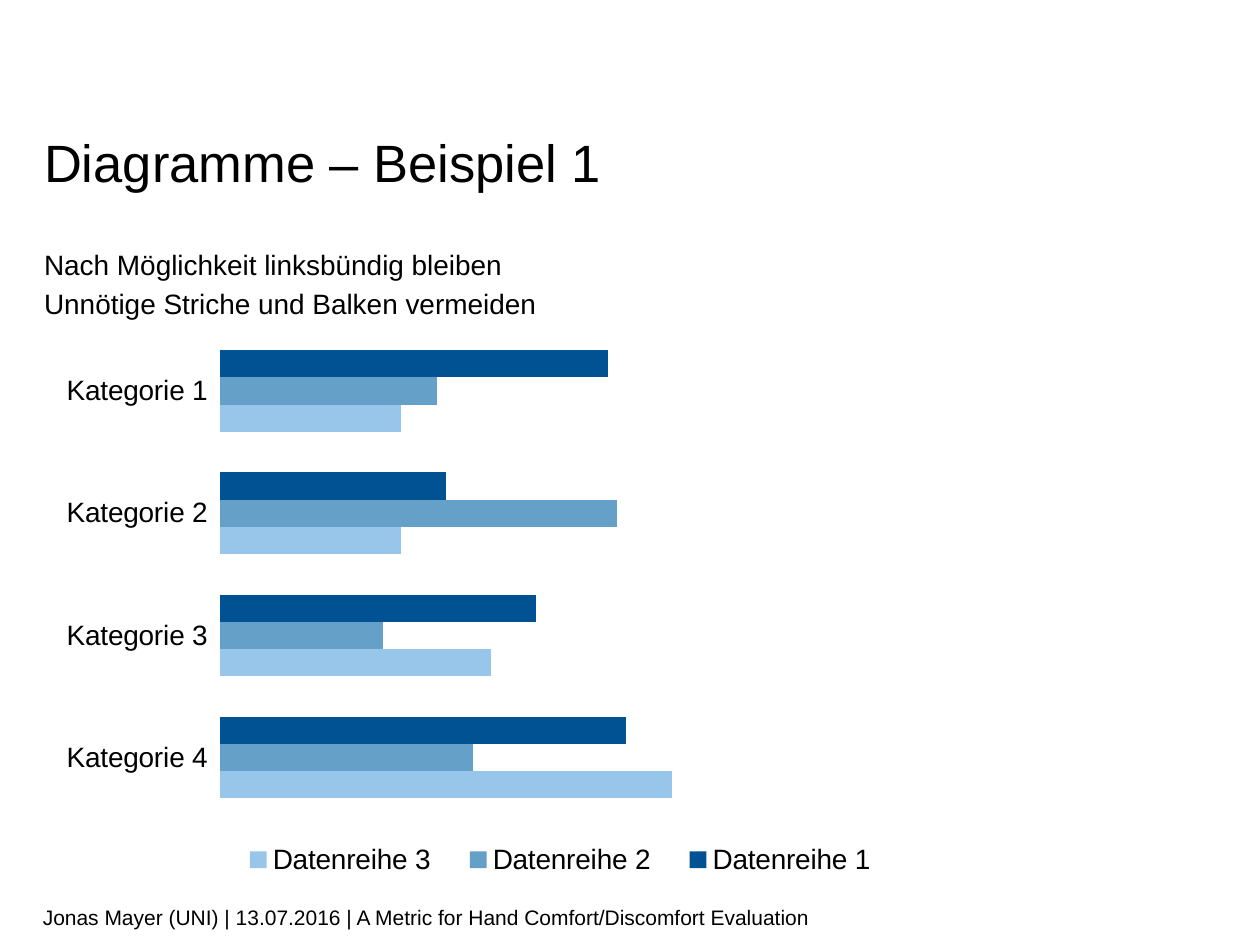
from dataclasses import dataclass

from lxml import etree
from pptx import Presentation
from pptx import util as u
from pptx.chart.data import CategoryChartData
from pptx.dml.color import RGBColor
from pptx.enum import chart as ch
from pptx.enum import text as tx
from pptx.oxml.ns import qn


@dataclass(frozen=True)
class Theme:
    font: str = "Arial"
    ink: str = "000000"
    title: int = 30
    body: int = 16
    foot: int = 12


@dataclass(frozen=True)
class Box:
    left: float
    top: float
    width: float
    height: float

    def emu(self) -> list:
        return [u.Inches(n) for n in (self.left, self.top, self.width, self.height)]


@dataclass(frozen=True)
class Series:
    name: str
    values: tuple
    color: str


THEME = Theme()
CATS = [f"Kategorie {n}" for n in range(1, 5)]
SERIES = (
    Series("Datenreihe 1", (86, 50, 70, 90), "005293"),
    Series("Datenreihe 2", (48, 88, 36, 56), "64A0C8"),
    Series("Datenreihe 3", (40, 40, 60, 100), "98C6EA"),
)
CHART = Box(0.23, 2.61, 9.31, 4.6)
PLOT = Box(1.75, 2.62, 4.3, 3.88)
LEGEND = Box(1.75, 6.6, 5.4, 0.45)


def style(item, **values) -> None:
    for name, value in values.items():
        setattr(item, name, value)


def ink(font, size: int) -> None:
    style(font, name=THEME.font, size=u.Pt(size), bold=False)
    font.color.rgb = RGBColor.from_string(THEME.ink)


def write(shape, words: str, size: int, pad: float = 0, space=None, **frame) -> None:
    """Fill a shape with left-aligned text; pad is the top and bottom inset."""
    body = shape.text_frame
    style(body, word_wrap=True, margin_left=0, margin_right=0,
          margin_top=u.Inches(pad), margin_bottom=u.Inches(pad), **frame)
    para = body.paragraphs[0]
    para.text = words
    style(para, alignment=tx.PP_ALIGN.LEFT, line_spacing=space)
    for run in para.runs:
        ink(run.font, size)


def place(owner, box: Box, inner: bool = False) -> None:
    """Fix a chart part at a box given in slide inches."""
    layout = owner.find(qn("c:layout"))
    if layout is None:
        layout = etree.Element(qn("c:layout"))
        prior = owner.find(qn("c:legendPos"))
        if prior is None:
            owner.insert(0, layout)
        else:
            prior.addnext(layout)
    for child in list(layout):
        layout.remove(child)
    manual = etree.SubElement(layout, qn("c:manualLayout"))
    parts = {"layoutTarget": "inner"} if inner else {}
    parts |= {
        "xMode": "edge",
        "yMode": "edge",
        "x": round((box.left - CHART.left) / CHART.width, 3),
        "y": round((box.top - CHART.top) / CHART.height, 3),
        "w": round(box.width / CHART.width, 3),
        "h": round(box.height / CHART.height, 3),
    }
    for tag, value in parts.items():
        etree.SubElement(manual, qn(f"c:{tag}")).set("val", str(value))


def draw_chart(slide) -> None:
    data = CategoryChartData()
    data.categories = CATS
    for row in SERIES:
        data.add_series(row.name, row.values)
    chart = slide.shapes.add_chart(
        ch.XL_CHART_TYPE.BAR_CLUSTERED, *CHART.emu(), data).chart
    ink(chart.font, THEME.body)
    style(chart, has_title=False, has_legend=True)
    style(chart.legend, position=ch.XL_LEGEND_POSITION.RIGHT,
          include_in_layout=False)

    plot = chart.plots[0]
    style(plot, gap_width=150, overlap=0, vary_by_categories=False)
    for bar, row in zip(plot.series, SERIES):
        bar.format.fill.solid()
        bar.format.fill.fore_color.rgb = RGBColor.from_string(row.color)

    style(chart.category_axis, reverse_order=True, has_major_gridlines=False,
          major_tick_mark=ch.XL_TICK_MARK.OUTSIDE)
    chart.category_axis.format.line.fill.background()
    style(chart.value_axis, visible=False, has_major_gridlines=False,
          minimum_scale=0, maximum_scale=120)

    area = chart.plots[0]._element.getparent()
    place(area, PLOT, inner=True)
    place(chart.legend._element, LEGEND)


def main() -> None:
    deck = Presentation()
    style(deck, slide_width=u.Inches(10), slide_height=u.Inches(7.5))
    slide = deck.slides.add_slide(deck.slide_layouts[5])

    title = slide.shapes.title
    left, top, width, height = Box(0.35, 1.09, 9.31, 0.45).emu()
    style(title, left=left, top=top, width=width, height=height)
    write(title, "Diagramme – Beispiel 1", THEME.title, space=u.Pt(32),
          vertical_anchor=tx.MSO_ANCHOR.TOP,
          auto_size=tx.MSO_AUTO_SIZE.SHAPE_TO_FIT_TEXT)

    advice = slide.shapes.add_textbox(*Box(0.35, 1.93, 9.31, 0.78).emu())
    write(advice, "Nach Möglichkeit linksbündig bleiben\v"
          "Unnötige Striche und Balken vermeiden", THEME.body, space=1.14)

    draw_chart(slide)

    foot = slide.shapes.add_textbox(*Box(0.34, 7.08, 7.07, 0.4).emu())
    write(foot, "Jonas Mayer (UNI) | 13.07.2016 | "
          "A Metric for Hand Comfort/Discomfort Evaluation", THEME.foot,
          pad=0.05, vertical_anchor=tx.MSO_ANCHOR.MIDDLE)
    deck.save("out.pptx")


if __name__ == "__main__":
    main()
